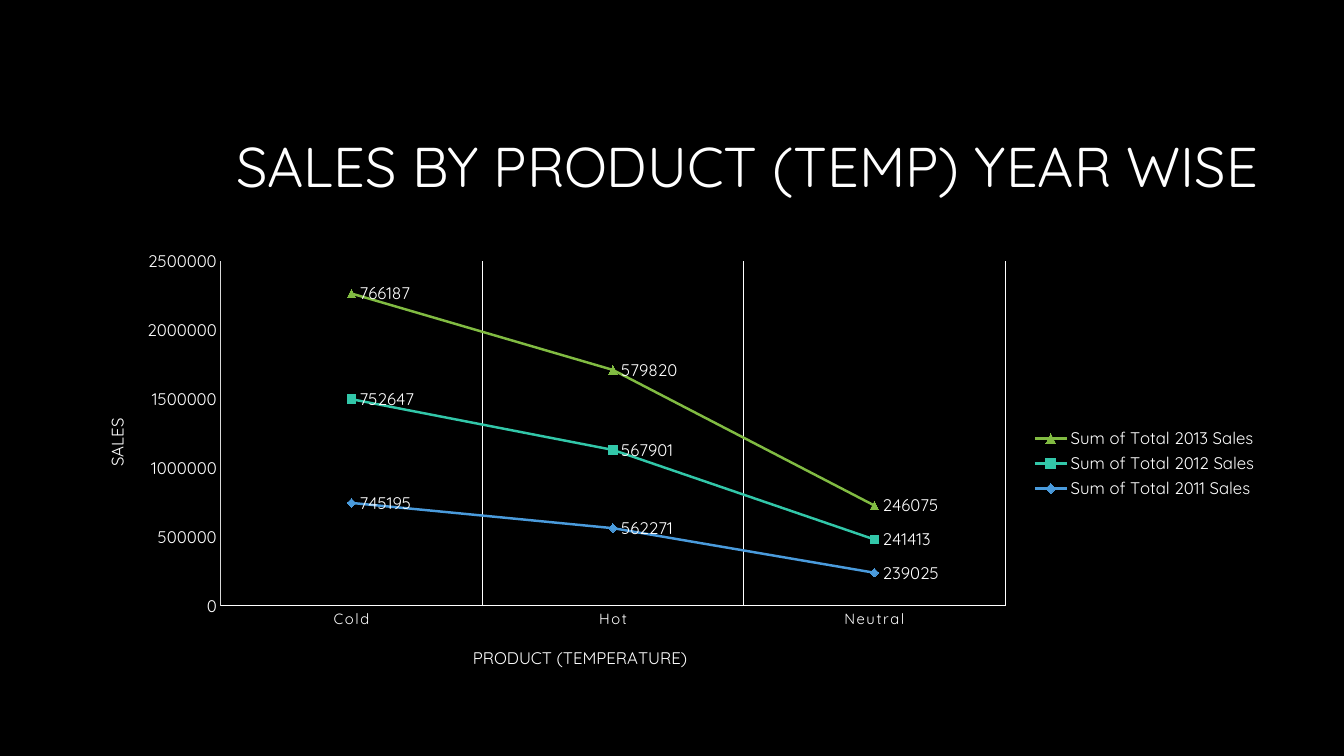
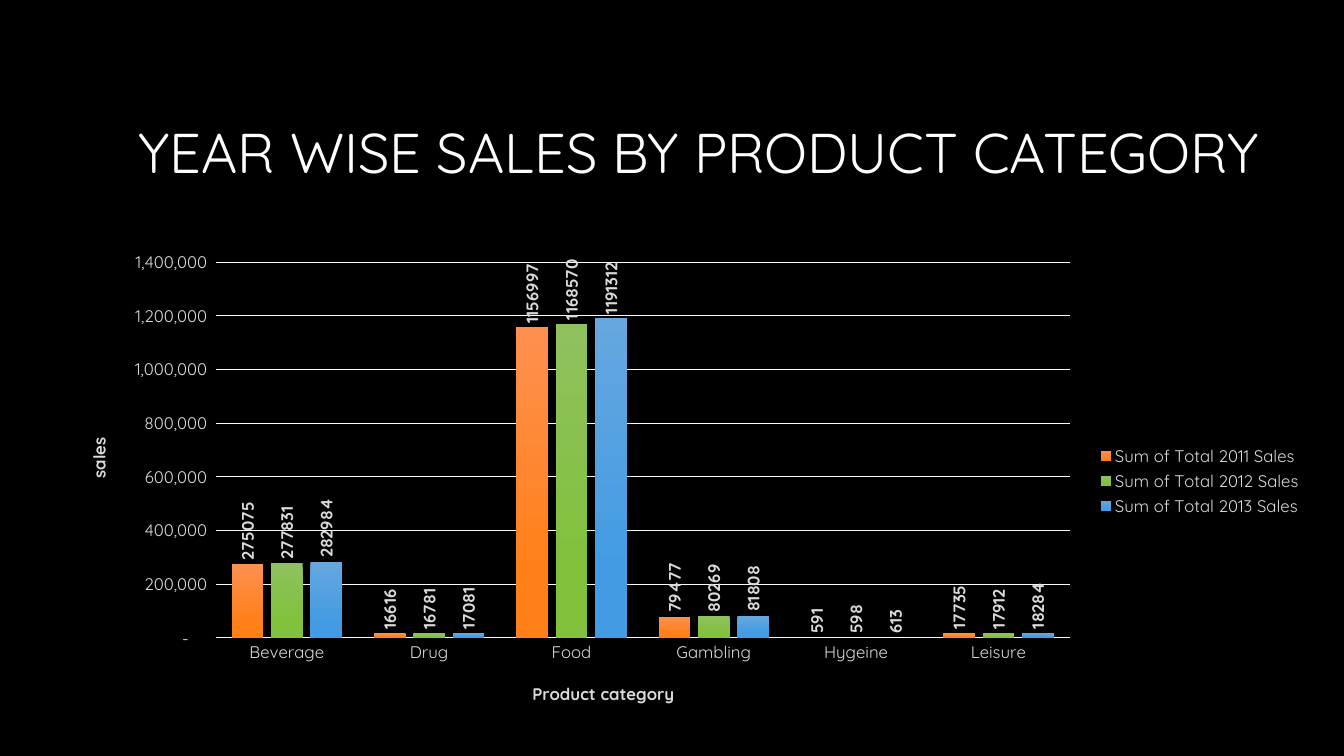
from lxml.etree import SubElement
from pptx import Presentation
from pptx.chart.data import CategoryChartData
from pptx.dml.color import RGBColor
from pptx.enum.chart import (XL_CHART_TYPE, XL_LABEL_POSITION, XL_LEGEND_POSITION,
                             XL_MARKER_STYLE, XL_TICK_MARK)
from pptx.enum.text import MSO_ANCHOR, PP_ALIGN
from pptx.oxml.ns import qn
from pptx.util import Inches, Pt

FONT = "Quicksand"
BLACK, WHITE = "000000", "FFFFFF"
PALE, GRID, AXIS = "DADADA", "F9F9F9", "D9D9D9"
UPWARD = {"rot": "-5400000", "vert": "horz"}
ACCOUNTING = r'_ * #,##0_ ;_ * \-#,##0_ ;_ * "-"??_ ;_ '


def rgb(hex_code):
    return RGBColor.from_string(hex_code)


def style_font(font, size=12, color=WHITE, bold=False):
    font.name = FONT
    font.size = Pt(size)
    font.bold = bold
    font.color.rgb = rgb(color)


def write(frame, text, align=None, spacing=None, **font_format):
    paragraph = frame.paragraphs[0]
    paragraph.alignment = align
    paragraph.line_spacing = spacing
    run = paragraph.add_run()
    run.text = text
    style_font(run.font, **font_format)


def style_line(line, color, width=0.75):
    line.color.rgb = rgb(color)
    line.width = Pt(width)


def place_in_chart(part, chart_box, box):
    """Pin a chart part at a slide position; box is left, top and optionally width, height."""
    left, top, width, height = chart_box
    layout = part.find(qn("c:layout"))
    if layout is None:
        layout = part.makeelement(qn("c:layout"))
        part.insert(0, layout)
    manual = SubElement(layout, qn("c:manualLayout"))
    settings = {"xMode": "edge", "yMode": "edge",
                "x": (box[0] - left) / width, "y": (box[1] - top) / height}
    if len(box) == 4:
        SubElement(manual, qn("c:layoutTarget")).set("val", "inner")
        settings.update(w=box[2] / width, h=box[3] / height)
    for name, value in settings.items():
        SubElement(manual, qn(f"c:{name}")).set("val", str(value))


def turn_upward(part):
    body = part.find(".//" + qn("a:bodyPr"))
    for name, value in UPWARD.items():
        body.set(name, value)


def clear_background(chart):
    """Needs the chart font to be set, since the fill precedes it."""
    fill = chart._chartSpace.makeelement(qn("c:spPr"))
    SubElement(fill, qn("a:noFill"))
    chart._chartSpace.find(qn("c:txPr")).addprevious(fill)


def add_titled_slide(prs, title, box):
    slide = prs.slides.add_slide(prs.slide_layouts[6])
    slide.background.fill.solid()
    slide.background.fill.fore_color.rgb = rgb(BLACK)
    frame = slide.shapes.add_textbox(*map(Inches, box)).text_frame
    frame.word_wrap = True
    frame.vertical_anchor = MSO_ANCHOR.MIDDLE
    write(frame, title, align=PP_ALIGN.RIGHT, spacing=0.9, size=40)
    return slide


def add_sales_chart(slide, kind, box, plot_box, categories, sales, color):
    data = CategoryChartData()
    data.categories = categories
    for year, values in sales.items():
        data.add_series(f"Sum of Total {year} Sales", values)
    chart = slide.shapes.add_chart(kind, *map(Inches, box), data).chart
    style_font(chart.font, size=10)
    clear_background(chart)
    chart.has_title = False
    chart.has_legend = True
    chart.legend.position = XL_LEGEND_POSITION.RIGHT
    chart.legend.include_in_layout = False
    style_font(chart.legend.font, color=color)
    chart.plots[0].vary_by_categories = False
    place_in_chart(chart._chartSpace.find(".//" + qn("c:plotArea")), box, plot_box)
    return chart


def style_axis(axis, title, chart_box, title_at, color, size=12, bold=False,
               line=None, grid=None):
    axis.major_tick_mark = axis.minor_tick_mark = XL_TICK_MARK.NONE
    style_font(axis.tick_labels.font, size=size, color=color)
    write(axis.axis_title.text_frame, title, color=color, bold=bold)
    place_in_chart(axis.axis_title._element, chart_box, title_at)
    if line:
        style_line(axis.format.line, line)
    else:
        axis.format.line.fill.background()
    axis.has_major_gridlines = bool(grid)
    if grid:
        style_line(axis.major_gridlines.format.line, grid)


def scale_axis(axis, top, step):
    axis.minimum_scale, axis.maximum_scale, axis.major_unit = 0, top, step


def label_values(series, **font_format):
    labels = series.data_labels
    labels.show_value = True
    style_font(labels.font, **font_format)
    return labels


def build_temperature_slide(prs):
    slide = add_titled_slide(prs, "SALES BY PRODUCT (TEMP) YEAR WISE", (1.55, 1.12, 11.03, 1.13))
    box = (0.75, 2.4, 11.83, 4.4)
    sales = {2011: (745195, 562271, 239025),
             2012: (752647, 567901, 241413),
             2013: (766187, 579820, 246075)}
    chart = add_sales_chart(slide, XL_CHART_TYPE.LINE_MARKERS_STACKED, box,
                            (2.19, 2.59, 7.78, 3.42), ("Cold", "Hot", "Neutral"), sales, WHITE)
    products, amounts = chart.category_axis, chart.value_axis
    style_axis(products, "PRODUCT (TEMPERATURE)", box, (4.66, 6.38), WHITE,
               size=10.6, line=WHITE, grid=WHITE)
    products._element.find(qn("c:txPr")).find(".//" + qn("a:defRPr")).set("spc", "120")
    style_axis(amounts, "SALES", box, (1.01, 4.12), WHITE, line=AXIS)
    turn_upward(amounts.axis_title._element)
    scale_axis(amounts, 2500000, 500000)

    looks = (("4A9BDC", XL_MARKER_STYLE.DIAMOND),
             ("32C7A9", XL_MARKER_STYLE.SQUARE),
             ("81BB42", XL_MARKER_STYLE.TRIANGLE))
    for series, (color, symbol) in zip(chart.plots[0].series, looks):
        series.smooth = False
        style_line(series.format.line, color, 1.75)
        series.marker.style = symbol
        series.marker.size = 6
        series.marker.format.fill.solid()
        series.marker.format.fill.fore_color.rgb = rgb(color)
        style_line(series.marker.format.line, color)
        label_values(series).position = XL_LABEL_POSITION.RIGHT


def build_category_slide(prs):
    slide = add_titled_slide(prs, "YEAR WISE SALES BY PRODUCT CATEGORY", (1.03, 0.84, 11.55, 1.41))
    box = (0.56, 2.4, 12.46, 4.75)
    categories = ("Beverage", "Drug", "Food", "Gambling", "Hygeine", "Leisure")
    sales = {2011: (275075, 16616, 1156997, 79477, 591, 17735),
             2012: (277831, 16781, 1168570, 80269, 598, 17912),
             2013: (282984, 17081, 1191312, 81808, 613, 18284)}
    chart = add_sales_chart(slide, XL_CHART_TYPE.COLUMN_CLUSTERED, box,
                            (2.14, 2.6, 8.47, 3.73), categories, sales, PALE)
    style_axis(chart.category_axis, "Product category", box, (5.25, 6.73), PALE,
               bold=True, line=GRID)
    amounts = chart.value_axis
    style_axis(amounts, "sales", box, (0.83, 4.31), PALE, bold=True, grid=GRID)
    turn_upward(amounts.axis_title._element)
    scale_axis(amounts, 1400000, 200000)
    amounts.tick_labels.number_format = ACCOUNTING
    amounts.tick_labels.number_format_is_linked = False

    columns = chart.plots[0]
    columns.gap_width = 100
    columns.overlap = -24
    gradients = (("FE904F", "FF8019"), ("8FC15E", "81C13C"), ("66A7E0", "439CE3"))
    for series, colors in zip(columns.series, gradients):
        fill = series.format.fill
        fill.gradient()
        fill.gradient_angle = 270
        for stop, color, position in zip(fill.gradient_stops, colors, (0, 0.78)):
            stop.color.rgb = rgb(color)
            stop.position = position
        labels = label_values(series, color=PALE, bold=True)
        labels.position = XL_LABEL_POSITION.OUTSIDE_END
        labels.number_format = "0"
        labels.number_format_is_linked = False
        turn_upward(labels._element)


def main():
    prs = Presentation()
    prs.slide_width, prs.slide_height = Inches(13.33), Inches(7.5)
    build_temperature_slide(prs)
    build_category_slide(prs)
    prs.save("out.pptx")


if __name__ == "__main__":
    main()
